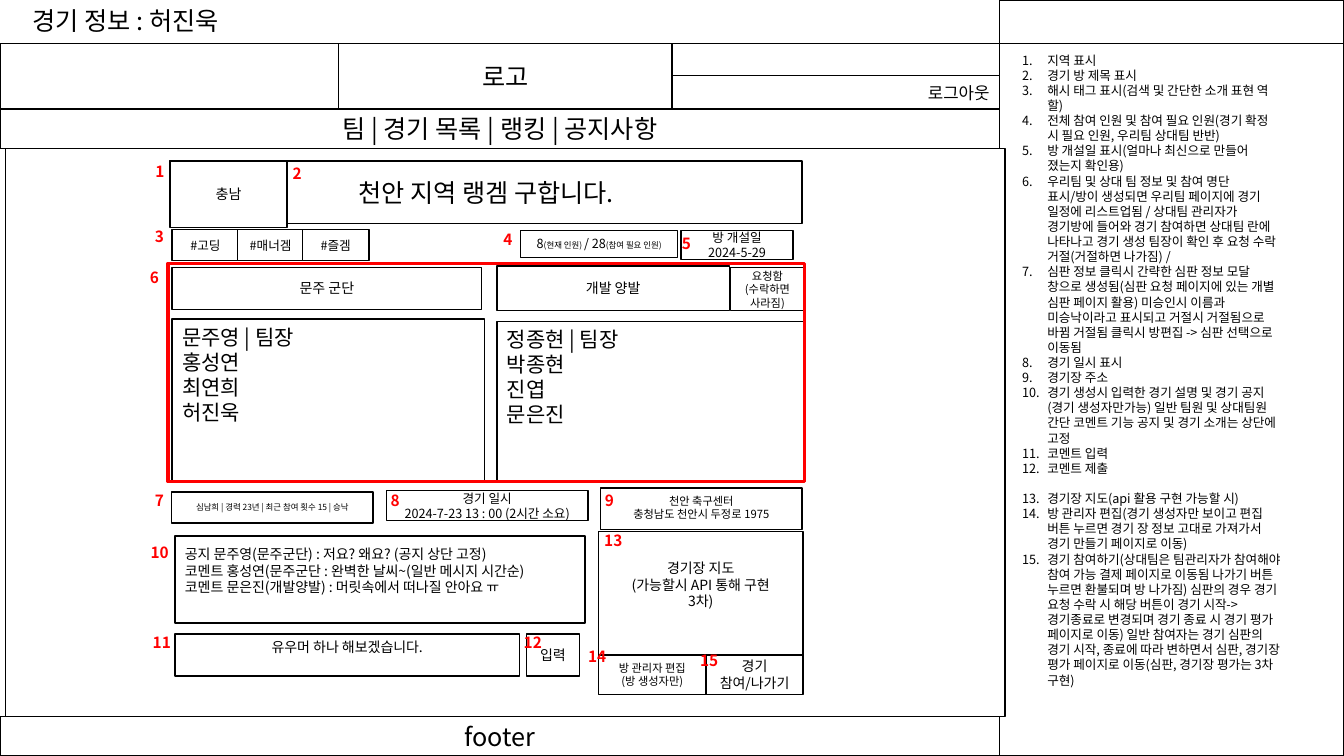
from dataclasses import dataclass

from lxml.etree import SubElement
from pptx import Presentation
from pptx.dml.color import RGBColor
from pptx.enum.shapes import MSO_SHAPE
from pptx.enum.text import MSO_ANCHOR as Anchor, MSO_AUTO_SIZE as AutoSize, PP_ALIGN as Align
from pptx.oxml.ns import qn
from pptx.util import Pt


@dataclass(frozen=True)
class Theme:
    """Colours, type sizes and line weights of the wireframe."""
    font: str = "Noto Sans CJK KR"
    ink: RGBColor = RGBColor(0, 0, 0)
    paper: RGBColor = RGBColor(255, 255, 255)
    accent: RGBColor = RGBColor(255, 0, 0)
    heading: int = 18
    roster: int = 15
    menu: int = 12
    marker: int = 11
    body: int = 10
    small: int = 9
    caption: int = 8
    tiny: int = 6
    leading: float = 1.2
    border: float = 1
    frame: float = 2.25


@dataclass(frozen=True)
class Box:
    """A rectangle in points."""
    left: float
    top: float
    width: float
    height: float

    def inside(self, left, top, width, height):
        """Return a box offset from this one."""
        return Box(self.left + left, self.top + top, width, height)

    def lengths(self):
        """Return the four lengths for a shape."""
        return Pt(self.left), Pt(self.top), Pt(self.width), Pt(self.height)


THEME = Theme()

NOTES = [
    "지역 표시",
    "경기 방 제목 표시",
    "해시 태그 표시(검색 및 간단한 소개 표현 역할)",
    "전체 참여 인원 및 참여 필요 인원(경기 확정 시 필요 인원, 우리팀 상대팀 반반)",
    "방 개설일 표시(얼마나 최신으로 만들어 졌는지 확인용)",
    "우리팀 및 상대 팀 정보 및 참여 명단 표시/방이 생성되면 우리팀 페이지에 경기 일정에 리스트업됨 / "
    "상대팀 관리자가 경기방에 들어와 경기 참여하면 상대팀 란에 나타나고 경기 생성 팀장이 확인 후 "
    "요청 수락 거절(거절하면 나가짐) /",
    "심판 정보 클릭시 간략한 심판 정보 모달 창으로 생성됨(심판 요청 페이지에 있는 개별 심판 페이지 활용) "
    "미승인시 이름과 미승낙이라고 표시되고 거절시 거절됨으로 바뀜 거절됨 클릭시 방편집 -> 심판 선택으로 이동됨",
    "경기 일시 표시",
    "경기장 주소",
    "경기 생성시 입력한 경기 설명 및 경기 공지(경기 생성자만가능) 일반 팀원 및 상대팀원 간단 코멘트 기능 "
    "공지 및 경기 소개는 상단에 고정",
    "코멘트 입력",
    "코멘트 제출",
    "경기장 지도(api 활용 구현 가능할 시)",
    "방 관리자 편집(경기 생성자만 보이고 편집 버튼 누르면 경기 장 정보 고대로 가져가서 경기 만들기 페이지로 이동)",
    "경기 참여하기(상대팀은 팀관리자가 참여해야 참여 가능 결제 페이지로 이동됨 나가기 버튼 누르면 환불되며 "
    "방 나가짐) 심판의 경우 경기 요청 수락 시 해당 버튼이 경기 시작->경기종료로 변경되며 경기 종료 시 "
    "경기 평가 페이지로 이동) 일반 참여자는 경기 심판의 경기 시작, 종료에 따라 변하면서 심판, "
    "경기장 평가 페이지로 이동(심판, 경기장 평가는 3차 구현)",
]


def style_run(run, size, color=THEME.ink, bold=False):
    """Apply the theme font to one run."""
    run.font.name, run.font.size = THEME.font, Pt(size)
    run.font.color.rgb, run.font.bold = color, bold
    SubElement(run.font._element, qn("a:ea"), typeface=THEME.font)


def write(shape, text, size, align=Align.LEFT, color=THEME.ink, bold=False):
    """Fill a shape with evenly led text."""
    frame = shape.text_frame
    frame.word_wrap, frame.auto_size = True, AutoSize.NONE
    frame.text = text
    for paragraph in frame.paragraphs:
        paragraph.alignment, paragraph.line_spacing = align, Pt(size * THEME.leading)
        for run in paragraph.runs:
            style_run(run, size, color, bold)


def add_cell(slide, box, text="", size=THEME.body, align=Align.CENTER, inset=None):
    """Draw a bordered cell, centred vertically unless a top inset is given."""
    shape = slide.shapes.add_shape(MSO_SHAPE.RECTANGLE, *box.lengths())
    shape.shadow.inherit = False
    shape.fill.solid()
    shape.fill.fore_color.rgb = THEME.paper
    shape.line.color.rgb, shape.line.width = THEME.ink, Pt(THEME.border)
    frame = shape.text_frame
    frame.vertical_anchor = Anchor.MIDDLE if inset is None else Anchor.TOP
    frame.margin_top, frame.margin_bottom = Pt(inset or 0), Pt(0)
    if text:
        write(shape, text, size, align)
    return shape


def add_markers(slide, box, markers):
    """Place the red callout numbers of a region."""
    for number, (left, top) in markers.items():
        width = 28 if number < 10 else 38
        shape = slide.shapes.add_textbox(*box.inside(left, top, width, 21).lengths())
        write(shape, str(number), THEME.marker, color=THEME.accent, bold=True)


def add_title(slide, box):
    """Move and format the title placeholder."""
    title = slide.shapes.title
    title.left, title.top, title.width, title.height = box.lengths()
    write(title, "경기 정보 : 허진욱", THEME.heading)
    title.text_frame.vertical_anchor = Anchor.TOP


def add_header(slide, box):
    """Draw the logo, logout and menu bars."""
    add_cell(slide, box)
    add_cell(slide, box.inside(242, 0, 238, 47), "로고", THEME.heading)
    add_cell(slide, box.inside(0, 47, box.width, 28), "팀 | 경기 목록 | 랭킹 | 공지사항", THEME.heading)
    add_cell(slide, box.inside(480, 23, 234, 24), "로그아웃", THEME.menu, Align.RIGHT)


def add_room_heading(slide, box):
    """Draw the region, room title, tags, headcount and opening date."""
    add_cell(slide, box.inside(0, 0, box.width, 44.5), "천안 지역 랭겜 구합니다.", THEME.heading)
    add_cell(slide, box.inside(0, 0, 83.5, 47.5), "충남")
    for index, tag in enumerate(["#고딩", "#매너겜", "#즐겜"]):
        add_cell(slide, box.inside(1.5 + 46.5 * index, 49, 47.5, 22), tag, THEME.small)
    headcount = add_cell(slide, box.inside(250.5, 49.5, 112, 19.5))
    headcount.text_frame.word_wrap = True
    paragraph = headcount.text_frame.paragraphs[0]
    paragraph.alignment = Align.CENTER
    for text, size in [("8", THEME.small), ("(현재 인원) ", THEME.tiny),
                       ("/ 28", THEME.small), ("(참여 필요 인원)", THEME.tiny)]:
        run = paragraph.add_run()
        run.text = text
        style_run(run, size)
    add_cell(slide, box.inside(365, 49.5, 80, 21), "방 개설일\n2024-5-29", THEME.small)
    add_markers(slide, box, {1: (-17.5, -3), 2: (80.5, -1.5), 3: (-18, 44), 4: (231, 45.5), 5: (358.5, 49)})


def add_teams(slide, box):
    """Draw both teams and their rosters inside the red frame."""
    add_cell(slide, box.inside(3, 3, 221, 30), "문주 군단")
    add_cell(slide, box.inside(235, 2, 166, 32), "개발 양발")
    add_cell(slide, box.inside(402, 3, 52.5, 31), "요청함\n(수락하면사라짐)", THEME.caption)
    rosters = [(3, 40, 223, "문주영 | 팀장\n홍성연\n최연희\n허진욱"),
               (235, 41.5, 220, "정종현 | 팀장\n박종현\n진엽\n문은진")]
    for left, top, width, members in rosters:
        add_cell(slide, box.inside(left, top, width, box.height - top - 0.5), members,
                 THEME.roster, Align.LEFT, 3.5)
    add_markers(slide, box, {6: (-20, 0)})
    frame = slide.shapes.add_shape(MSO_SHAPE.RECTANGLE, *box.lengths())
    frame.shadow.inherit = False
    frame.fill.background()
    frame.line.color.rgb, frame.line.width = THEME.accent, Pt(THEME.frame)


def add_schedule(slide, box):
    """Draw the referee, date and place cells."""
    add_cell(slide, box.inside(0, 3, 144, 22), "심남희 | 경력 23년 | 최근 참여 횟수 15 | 승낙", THEME.tiny)
    add_cell(slide, box.inside(153.5, 2, 144, 21.5), "경기 일시\n2024-7-23 13 : 00 (2시간 소요)", THEME.small)
    add_cell(slide, box.inside(306.5, 0, 144, 30), "천안 축구센터\n충청남도 천안시 두정로 1975",
             THEME.caption, inset=4.5)
    add_markers(slide, box, {7: (-19, -1.5), 8: (149.5, -1.5), 9: (302.5, -1)})


def add_comments(slide, box):
    """Draw the comment list, its input and submit button."""
    comments = ("공지 문주영(문주군단) : 저요? 왜요? (공지 상단 고정)\n"
                "코멘트 홍성연(문주군단 : 완벽한 날씨~(일반 메시지 시간순)\n"
                "코멘트 문은진(개발양발) : 머릿속에서 떠나질 안아요 ㅠ")
    add_cell(slide, box.inside(0, 0, box.width, 62), comments, align=Align.LEFT, inset=6.5)
    add_cell(slide, box.inside(0, 70, 246, 30), "유우머 하나 해보겠습니다.", inset=3)
    add_cell(slide, box.inside(251, 70, 38, 30), "입력")
    add_markers(slide, box, {10: (-24.5, 1.5), 11: (-23, 65.5), 12: (242, 65.5)})


def add_venue(slide, box):
    """Draw the map with the edit and join buttons below it."""
    add_cell(slide, box.inside(0, 0, box.width, 88.5), "경기장 지도\n(가능할시 API 통해 구현\n3차)", inset=20)
    add_cell(slide, box.inside(77, 88.5, 69, 28), "경기 참여/나가기")
    add_cell(slide, box.inside(0, 88.5, 77, 28), "방 관리자 편집\n(방 생성자만)", THEME.caption)
    add_markers(slide, box, {13: (-3, -4), 14: (-14.5, 79.5), 15: (65.5, 82)})


def add_notes_panel(slide, box):
    """Draw the side panel with its numbered description."""
    add_cell(slide, box.inside(0, 31, box.width, box.height - 31))
    add_cell(slide, box.inside(0, 0, box.width, 31))


def add_description(slide, box):
    """List the numbered explanations, set apart before the map entry."""
    shape = slide.shapes.add_textbox(*box.lengths())
    write(shape, "\n".join(NOTES), THEME.small)
    for number, paragraph in enumerate(shape.text_frame.paragraphs, 1):
        if number == 13:
            paragraph.space_before = Pt(THEME.small * THEME.leading)
        properties = paragraph._p.get_or_add_pPr()
        properties.set("marL", str(Pt(18)))
        properties.set("indent", str(-Pt(18)))
        SubElement(properties, qn("a:buFont"), typeface="+mj-lt")
        SubElement(properties, qn("a:buAutoNum"), type="arabicPeriod")


def main():
    """Build and save the match information slide."""
    presentation = Presentation()
    presentation.slide_width, presentation.slide_height = Pt(960), Pt(540)
    slide = presentation.slides.add_slide(presentation.slide_layouts[5])
    add_title(slide, Box(16, 0, 189, 29))
    add_notes_panel(slide, Box(714, 0, 246, 540))
    add_header(slide, Box(0, 31, 714, 75))
    add_cell(slide, Box(0, 512, 714, 28), "footer", THEME.heading)
    add_cell(slide, Box(4, 106, 714, 406))
    add_room_heading(slide, Box(121.5, 115, 451.5, 71))
    add_teams(slide, Box(120, 188, 455, 156))
    add_schedule(slide, Box(122.5, 348.5, 450.5, 30))
    add_comments(slide, Box(125, 383, 293, 100))
    add_venue(slide, Box(427.5, 379.5, 146, 116.5))
    add_description(slide, Box(723, 34, 200, 477))
    presentation.save("out.pptx")


if __name__ == "__main__":
    main()
